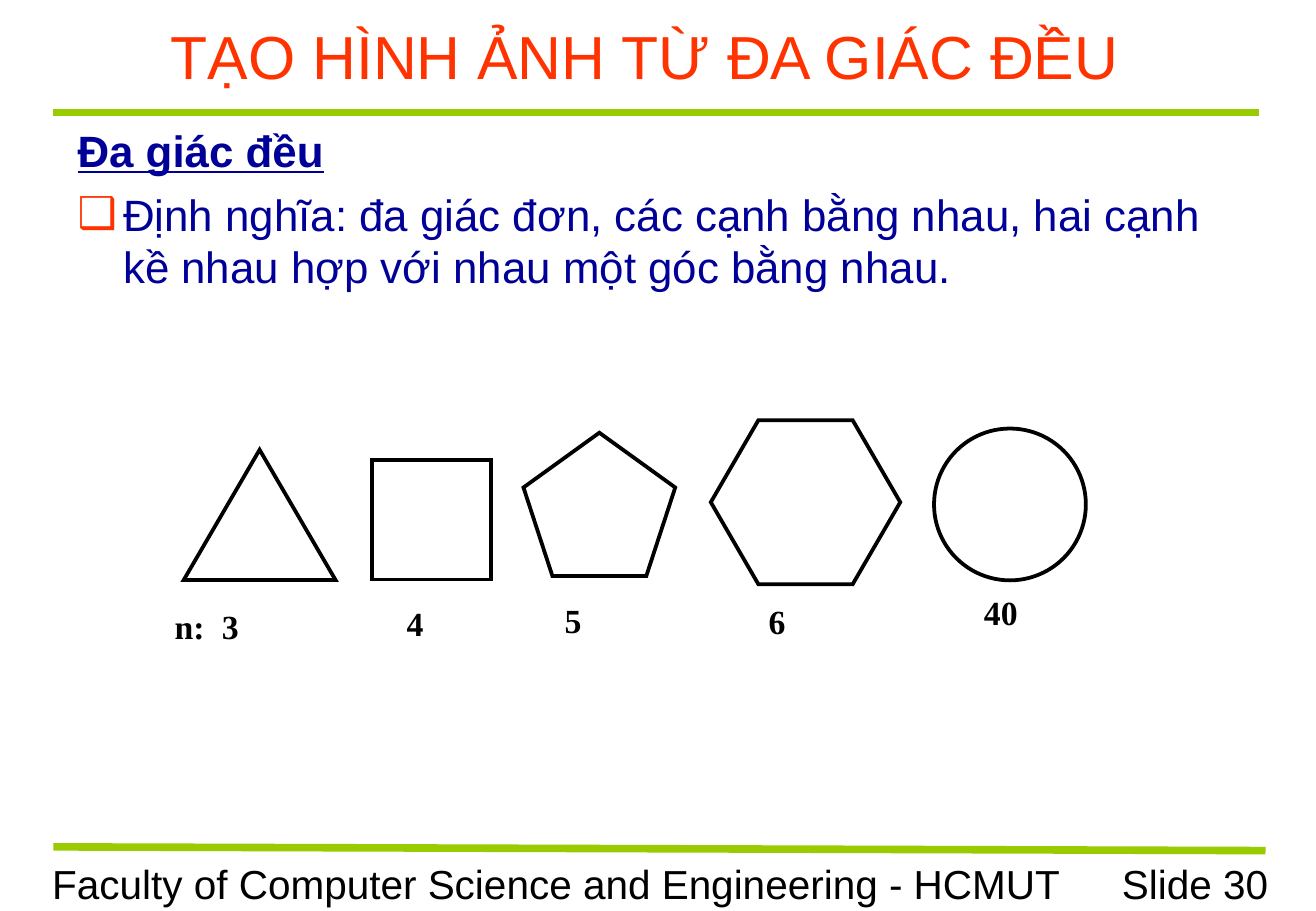
from lxml import etree
from pptx import Presentation
from pptx.dml.color import RGBColor
from pptx.enum.shapes import MSO_CONNECTOR, MSO_SHAPE
from pptx.enum.text import MSO_ANCHOR, PP_ALIGN
from pptx.oxml.ns import qn
from pptx.util import Pt

LEFT, CENTER, RIGHT = PP_ALIGN.LEFT, PP_ALIGN.CENTER, PP_ALIGN.RIGHT
TOP, MIDDLE = MSO_ANCHOR.TOP, MSO_ANCHOR.MIDDLE
STRAIGHT = MSO_CONNECTOR.STRAIGHT
SQUARE, TRIANGLE = MSO_SHAPE.RECTANGLE, MSO_SHAPE.ISOSCELES_TRIANGLE
PENTAGON, HEXAGON, CIRCLE = MSO_SHAPE.REGULAR_PENTAGON, MSO_SHAPE.HEXAGON, MSO_SHAPE.OVAL
COLORS = {"title": "FF3300", "body": "000099", "rule": "99CC00", "ink": "000000", "paper": "FFFFFF"}


def color(name):
    return RGBColor.from_string(COLORS[name])


def add_text(box, lines, size, ink, font="Arial", bold=False, align=LEFT, anchor=TOP):
    frame = slide.shapes.add_textbox(*map(Pt, box)).text_frame
    frame.word_wrap = True
    frame.vertical_anchor = anchor
    frame.text = "\n".join(lines)
    for paragraph in frame.paragraphs:
        paragraph.alignment = align
        paragraph.font.size = Pt(size)
        paragraph.font.name = font
        paragraph.font.bold = bold
        paragraph.font.color.rgb = color(ink)
    return frame.paragraphs


presentation = Presentation()
presentation.slide_width, presentation.slide_height = Pt(780.13), Pt(540)
slide = presentation.slides.add_slide(presentation.slide_layouts[6])

for start_x, start_y, end_x, end_y in [(31.7, 66.8, 746.6, 66.8), (31.7, 502, 750.2, 504.2)]:
    rule = slide.shapes.add_connector(STRAIGHT, Pt(start_x), Pt(start_y), Pt(end_x), Pt(end_y))
    rule.line.color.rgb = color("rule")
    rule.line.width = Pt(4.5)
    etree.SubElement(rule._element.spPr, qn("a:effectLst"))

add_text((615.6, 505.4, 143.3, 36), ["Slide 30"], 24, "ink", align=RIGHT)
add_text((23.8, 505.4, 613.4, 36), ["Faculty of Computer Science and Engineering - HCMUT"], 24, "ink")
add_text((23.8, 7.5, 717.1, 50.4), ["TẠO HÌNH ẢNH TỪ ĐA GIÁC ĐỀU"], 36, "title", align=CENTER, anchor=MIDDLE)

heading, definition = add_text((38.9, 69.8, 702, 110.2), [
    "Đa giác đều",
    "Định nghĩa: đa giác đơn, các cạnh bằng nhau, hai cạnh kề nhau hợp với nhau một góc bằng nhau.",
], 26, "body")
heading.font.bold = True
heading.font.underline = True
definition.space_before = Pt(6.5)
properties = definition._p.get_or_add_pPr()
properties.set("marL", str(Pt(27)))
properties.set("indent", str(-Pt(27)))
bullet_color = etree.Element(qn("a:buClr"))
etree.SubElement(bullet_color, qn("a:srgbClr"), val=COLORS["title"])
bullet_font = etree.Element(qn("a:buFont"), typeface="Arial")
bullet = etree.Element(qn("a:buChar"), char="❑")
properties.find(qn("a:spcBef")).addnext(bullet_color)
bullet_color.addnext(bullet_font)
bullet_font.addnext(bullet)

polygons = [
    (TRIANGLE, (108.9, 266.6, 90, 77.2), "n:\t3", (96.5, 355.3, 96.5)),
    (SQUARE, (220.3, 272.9, 70.6, 70.6), "4", (234, 353.8, 52.6)),
    (PENTAGON, (310.3, 256.5, 90, 85), "5", (327.6, 351.7, 52.6)),
    (HEXAGON, (421.4, 249.1, 112.3, 97.2), "6", (448.6, 352.4, 52.6)),
    (CIRCLE, (553.7, 254, 90, 90), "40", (576.2, 347.5, 69.8)),
]
for kind, bounds, side_count, (label_x, label_y, label_width) in polygons:
    polygon = slide.shapes.add_shape(kind, *map(Pt, bounds))
    polygon.shadow.inherit = False
    polygon.fill.solid()
    polygon.fill.fore_color.rgb = color("paper")
    polygon.line.color.rgb = color("ink")
    polygon.line.width = Pt(2.25)
    etree.SubElement(polygon.line._get_or_add_ln(), qn("a:miter"), lim="800000")
    if kind == HEXAGON:
        polygon.adjustments[0] = 0.29
    label = add_text((label_x, label_y, label_width, 44.6), [side_count], 20, "ink", "Times New Roman", True)[0]
    if "\t" in side_count:
        tabs = etree.Element(qn("a:tabLst"))
        etree.SubElement(tabs, qn("a:tab"), pos=str(Pt(28)), algn="l")
        label._p.get_or_add_pPr().insert(0, tabs)

presentation.save("out.pptx")
